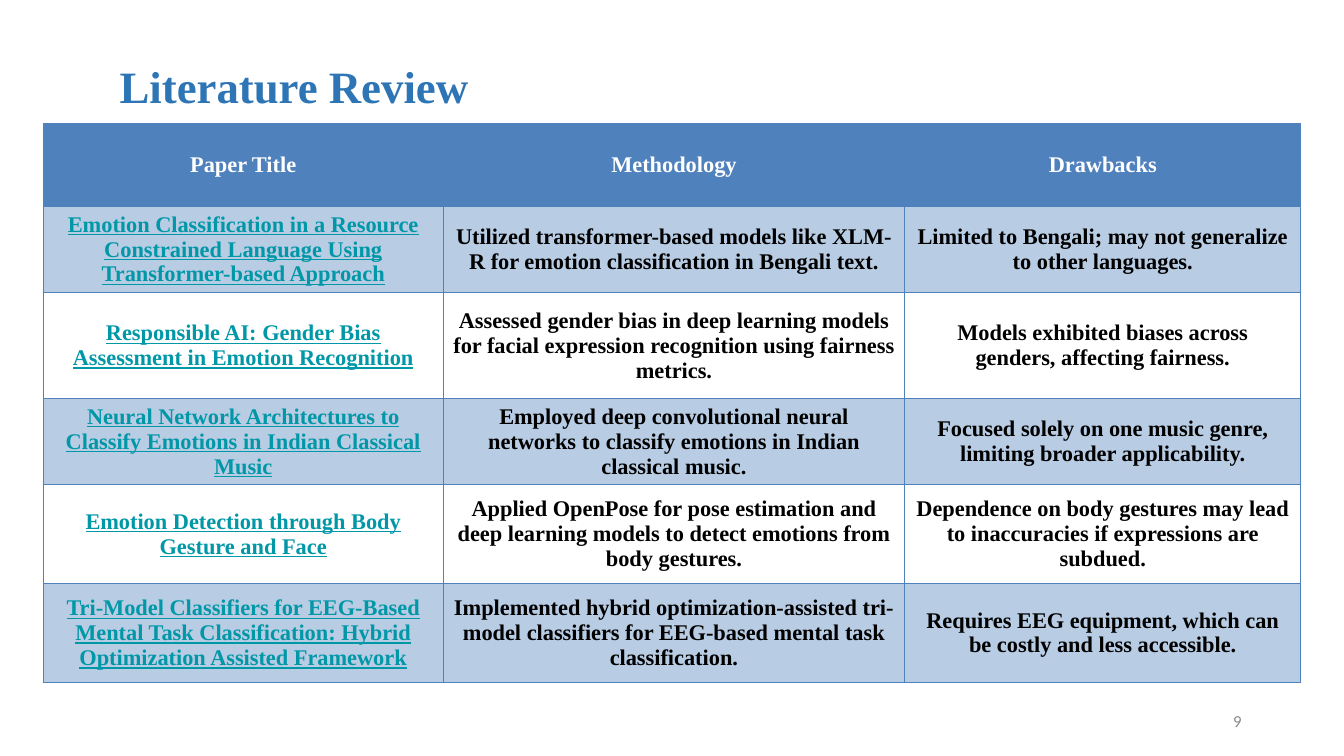
import lxml.etree
import pptx
import pptx.dml.color
import pptx.enum.text
import pptx.oxml.ns
import pptx.util

Cm = pptx.util.Cm
ALIGN = pptx.enum.text.PP_ALIGN
MIDDLE = pptx.enum.text.MSO_ANCHOR.MIDDLE
SERIF = "Times New Roman"
BLUE = "4F81BD"
HEADER_FORMAT = {"name": SERIF, "size": pptx.util.Pt(16), "bold": True, "color": "FFFFFF"}
BODY_FORMAT = {**HEADER_FORMAT, "color": "000000"}
PAPER_FORMAT = {**HEADER_FORMAT, "color": "0097A7", "underline": True}
TITLE_FORMAT = {**HEADER_FORMAT, "size": pptx.util.Pt(32), "color": "2E75B5"}
NUMBER_FORMAT = {"name": "Calibri", "size": pptx.util.Pt(12), "color": "898989"}
CELL_FORMAT = {"vertical_anchor": MIDDLE, "margin_top": Cm(0.07), "margin_bottom": Cm(0.07)}

COLUMN_WIDTHS = [10.08, 11.63, 9.98]
ROW_HEIGHTS = [2.08, 2.13, 2.67, 2.13, 2.49, 2.49]
HEADINGS = ("Paper Title", "Methodology", "Drawbacks")
PAPERS = [
    ("Emotion Classification in a Resource Constrained Language Using Transformer-based Approach",
     "Utilized transformer-based models like XLM-R for emotion classification in Bengali text.",
     "Limited to Bengali; may not generalize to other languages."),
    ("Responsible AI: Gender Bias Assessment in Emotion Recognition",
     "Assessed gender bias in deep learning models for facial expression recognition "
     "using fairness metrics.",
     "Models exhibited biases across genders, affecting fairness."),
    ("Neural Network Architectures to Classify Emotions in Indian Classical Music",
     "Employed deep convolutional neural networks to classify emotions in Indian classical music.",
     "Focused solely on one music genre, limiting broader applicability."),
    ("Emotion Detection through Body Gesture and Face",
     "Applied OpenPose for pose estimation and deep learning models to detect emotions "
     "from body gestures.",
     "Dependence on body gestures may lead to inaccuracies if expressions are subdued."),
    ("Tri-Model Classifiers for EEG-Based Mental Task Classification: "
     "Hybrid Optimization Assisted Framework",
     "Implemented hybrid optimization-assisted tri-model classifiers for EEG-based "
     "mental task classification.",
     "Requires EEG equipment, which can be costly and less accessible."),
]


def rgb(hex_color):
    """Turn a hex string into a colour."""
    return pptx.dml.color.RGBColor.from_string(hex_color)


def apply(target, formats):
    """Set each attribute of a target from a dict of values."""
    for attribute, value in formats.items():
        if attribute == "color":
            target.color.rgb = rgb(value)
        else:
            setattr(target, attribute, value)


def write(frame, text, formats, alignment):
    """Write one formatted paragraph into a text frame."""
    paragraph = frame.paragraphs[0]
    paragraph.alignment = alignment
    run = paragraph.add_run()
    run.text = text
    apply(run.font, formats)
    return paragraph


def add_child(parent, tag, **attributes):
    """Append a DrawingML element and return it."""
    return lxml.etree.SubElement(parent, pptx.oxml.ns.qn(tag), attributes)


def border_cell(cell):
    """Draw thin blue lines on all four sides of a cell."""
    properties = cell._tc.get_or_add_tcPr()
    for side in ("a:lnL", "a:lnR", "a:lnT", "a:lnB"):
        line = add_child(properties, side, w=str(pptx.util.Pt(0.75)))
        add_child(add_child(line, "a:solidFill"), "a:srgbClr", val=BLUE)


def fill_cell(cell, row):
    """Fill the header solid, odd rows with a tint, and leave even rows clear."""
    if row > 0 and row % 2 == 0:
        cell.fill.background()
        return
    cell.fill.solid()
    cell.fill.fore_color.rgb = rgb(BLUE)
    if row:
        tint = cell._tc.tcPr.find(pptx.oxml.ns.qn("a:solidFill"))[0]
        add_child(tint, "a:alpha", val="40000")


def add_review_table(slide):
    """Add the table of reviewed papers."""
    table = slide.shapes.add_table(
        len(ROW_HEIGHTS), len(COLUMN_WIDTHS), Cm(1.09), Cm(3.12),
        Cm(sum(COLUMN_WIDTHS)), Cm(sum(ROW_HEIGHTS))).table
    for column, width in zip(table.columns, COLUMN_WIDTHS):
        column.width = Cm(width)
    for row, height in zip(table.rows, ROW_HEIGHTS):
        row.height = Cm(height)
    for row, entries in enumerate([HEADINGS, *PAPERS]):
        for column, entry in enumerate(entries):
            cell = table.cell(row, column)
            formats = HEADER_FORMAT if row == 0 else BODY_FORMAT if column else PAPER_FORMAT
            write(cell.text_frame, entry, formats, ALIGN.CENTER)
            apply(cell, CELL_FORMAT)
            border_cell(cell)
            fill_cell(cell, row)


def add_title(slide, text):
    """Place and format the slide title."""
    title = slide.shapes.title
    apply(title, {"left": Cm(2.33), "top": Cm(1.02), "width": Cm(29.21), "height": Cm(2.29)})
    apply(title.text_frame, {"word_wrap": True, "vertical_anchor": MIDDLE})
    heading = write(title.text_frame, text, TITLE_FORMAT, ALIGN.JUSTIFY)
    properties = heading._p.get_or_add_pPr()
    properties.set("marL", str(Cm(0.43)))
    properties.set("indent", "0")


def add_page_number(slide, number):
    """Add the page number at the lower right."""
    page_number = slide.shapes.add_textbox(Cm(23.92), Cm(17.66), Cm(7.62), Cm(1.01))
    apply(page_number.text_frame, {"word_wrap": True, "vertical_anchor": MIDDLE})
    write(page_number.text_frame, number, NUMBER_FORMAT, ALIGN.RIGHT)


def main():
    """Build the literature review slide."""
    presentation = pptx.Presentation()
    presentation.slide_width = Cm(33.87)
    presentation.slide_height = Cm(19.05)
    slide = presentation.slides.add_slide(presentation.slide_layouts[5])
    add_title(slide, "Literature Review")
    add_page_number(slide, "9")
    add_review_table(slide)
    presentation.save("out.pptx")


if __name__ == "__main__":
    main()
